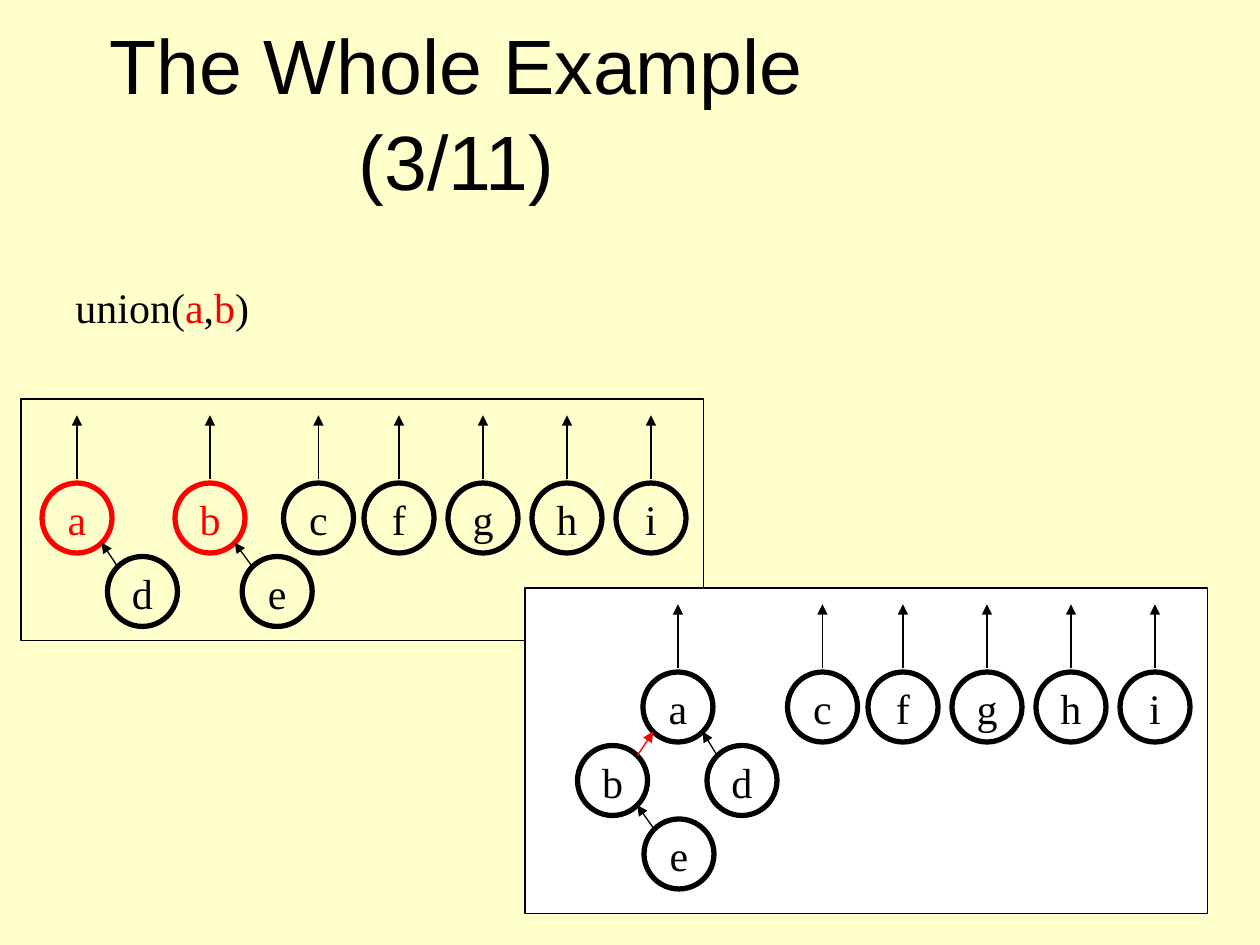
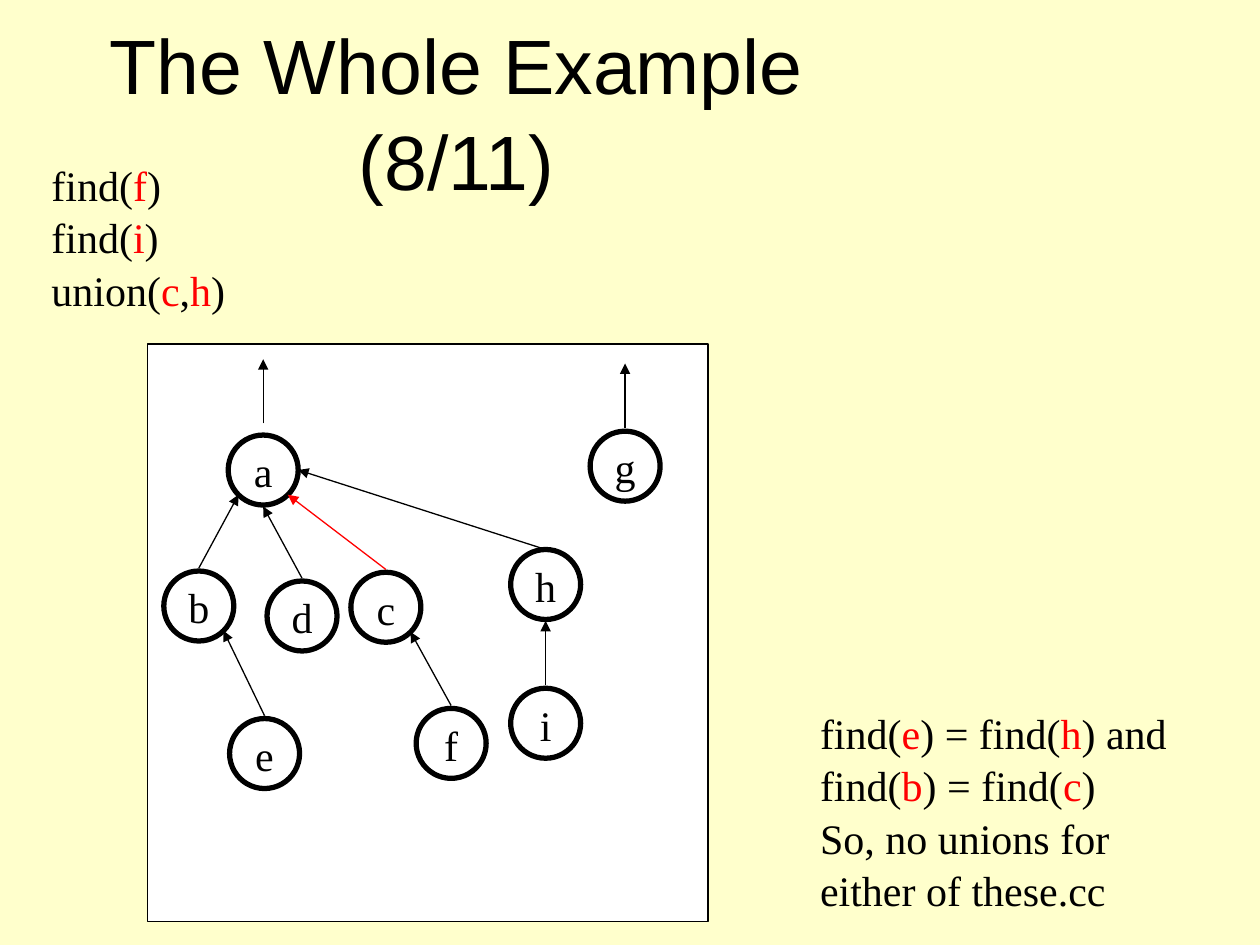
from dataclasses import dataclass

from lxml.etree import SubElement
from pptx import Presentation
from pptx.dml.color import RGBColor
from pptx.enum.shapes import MSO_CONNECTOR, MSO_SHAPE
from pptx.enum.text import MSO_ANCHOR, MSO_AUTO_SIZE, PP_ALIGN
from pptx.oxml.ns import qn
from pptx.util import Pt


@dataclass(frozen=True)
class Theme:
    background: RGBColor = RGBColor(0xFF, 0xFF, 0xCC)
    panel: RGBColor = RGBColor(0xFF, 0xFF, 0xFF)
    ink: RGBColor = RGBColor(0, 0, 0)
    accent: RGBColor = RGBColor(0xFF, 0, 0)
    title_font: str = "Arial"
    body_font: str = "Times New Roman"
    title_size: int = 44
    body_size: int = 24
    thin: float = 0.75
    thick: float = 3
    line_spacing: float = 1.04


THEME = Theme()
TITLE_BOX = (6, 18, 510, 90)
RADIUS = 20
ROOT_GAP, ROOT_LENGTH = 22, 36.7

# Where an arrow touches a node, measured from the node's centre
SITES = {
    "top": (0, -21.6), "rim": (0, -20), "bottom": (0, 20.8), "right": (20, 0),
    "NW": (-14.1, -14.1), "NE": (14.1, -14.1), "SW": (-14.1, 14.1), "SE": (14.1, 14.1),
}

# Content: text between bars is red; node centres are relative to their panel.
# An edge is (child, child site, parent, parent site); roots give the arrow's gap.
ROW = {"c": (170, 68), "f": (216, 68), "g": (264, 68), "h": (312, 68), "i": (360, 68)}

SLIDES = [
    {
        "title": "The Whole Example (3/11)",
        "texts": [((36, 156, 114, 36), False, ["union(|a|,|b|)"])],
        "forests": [
            {
                "box": (12, 228, 390, 138), "filled": False,
                "nodes": {"a": (32, 68), "b": (108, 68), **ROW,
                          "d": (69.4, 110), "e": (146.4, 110)},
                "red_nodes": "ab",
                "roots": dict.fromkeys("abcfghi", ROOT_GAP),
                "edges": [("d", "NW", "a", "SE"), ("e", "NW", "b", "SE")],
                "red_edge": None,
            },
            {
                "box": (300, 336, 390, 186), "filled": True,
                "nodes": {"a": (87.4, 68), **ROW, "b": (50, 110),
                          "d": (124, 110), "e": (88, 152)},
                "red_nodes": "",
                "roots": dict.fromkeys("acfghi", ROOT_GAP),
                "edges": [("b", "NE", "a", "SW"), ("d", "NW", "a", "SE"),
                          ("e", "NW", "b", "SE")],
                "red_edge": "ba",
            },
        ],
    },
    {
        "title": "The Whole Example (8/11)",
        "texts": [
            ((22.3, 86.4, 114, 93.6), False, ["find(|f|)", "find(|i|)", "union(|c|,|h|)"]),
            ((461.5, 399.6, 239, 122.4), True,
             ["find(|e|) = find(|h|) and find(|b|) = find(|c|)",
              "So, no unions for either of these.cc"]),
        ],
        "forests": [
            {
                "box": (84.2, 196.6, 320.4, 329.8), "filled": True,
                "nodes": {"a": (66.2, 72), "g": (273, 69.8), "b": (29.4, 149.7),
                          "d": (88.4, 155.4), "c": (136.3, 150.4), "h": (227.6, 137.4),
                          "e": (67, 234), "f": (173.6, 228.2), "i": (227.6, 216.7)},
                "red_nodes": "",
                "roots": {"a": 26.6, "g": ROOT_GAP},
                "edges": [("b", "top", "a", "SW"), ("d", "top", "a", "bottom"),
                          ("c", "top", "a", "SE"), ("h", "rim", "a", "right"),
                          ("e", "top", "b", "SE"), ("f", "top", "c", "SE"),
                          ("i", "top", "h", "bottom")],
                "red_edge": "ca",
            },
        ],
    },
]


# Drawing helpers
def points(*values):
    return [Pt(value) for value in values]


def style_paragraph(para, font_name, size, color=THEME.ink, alignment=PP_ALIGN.LEFT):
    para.alignment = alignment
    para.line_spacing = THEME.line_spacing
    para.font.name = font_name
    para.font.size = Pt(size)
    para.font.color.rgb = color


def add_shape(page, kind, box, color, width, fill=None):
    shape = page.shapes.add_shape(kind, *points(*box))
    shape.shadow.inherit = False
    shape.line.color.rgb = color
    shape.line.width = Pt(width)
    if fill is None:
        shape.fill.background()
    else:
        shape.fill.solid()
        shape.fill.fore_color.rgb = fill
    return shape


def add_arrow(page, start, end, color):
    arrow = page.shapes.add_connector(MSO_CONNECTOR.STRAIGHT, *points(*start, *end))
    arrow.line.color.rgb = color
    arrow.line.width = Pt(THEME.thin)
    SubElement(arrow.line._get_or_add_ln(), qn("a:tailEnd"), type="triangle")
    SubElement(arrow._element.spPr, qn("a:effectLst"))


def add_node(page, name, center, color):
    x, y = center
    box = (x - RADIUS, y - RADIUS, 2 * RADIUS, 2 * RADIUS)
    node = add_shape(page, MSO_SHAPE.OVAL, box, color, THEME.thick)
    frame = node.text_frame
    frame.word_wrap = False
    frame.vertical_anchor = MSO_ANCHOR.MIDDLE
    frame.text = name
    style_paragraph(frame.paragraphs[0], THEME.body_font, THEME.body_size,
                    color, PP_ALIGN.CENTER)


def add_text(page, box, wrap, lines):
    frame = page.shapes.add_textbox(*points(*box)).text_frame
    frame.word_wrap = wrap
    for index, line in enumerate(lines):
        para = frame.add_paragraph() if index else frame.paragraphs[0]
        style_paragraph(para, THEME.body_font, THEME.body_size)
        for part, words in enumerate(line.split("|")):
            span = para.add_run()
            span.text = words
            if part % 2:
                span.font.color.rgb = THEME.accent


def add_title(page, words):
    title = page.shapes.title
    title.left, title.top, title.width, title.height = points(*TITLE_BOX)
    frame = title.text_frame
    frame.text = words
    frame.auto_size = MSO_AUTO_SIZE.NONE
    frame.vertical_anchor = MSO_ANCHOR.MIDDLE
    style_paragraph(frame.paragraphs[0], THEME.title_font, THEME.title_size,
                    alignment=PP_ALIGN.CENTER)


def add_forest(page, forest):
    left, top, _, _ = forest["box"]
    add_shape(page, MSO_SHAPE.RECTANGLE, forest["box"], THEME.ink, THEME.thin,
              THEME.panel if forest["filled"] else None)
    centers = {name: (left + x, top + y) for name, (x, y) in forest["nodes"].items()}

    def touch(name, site):
        return [base + offset for base, offset in zip(centers[name], SITES[site])]

    for name, center in centers.items():
        color = THEME.accent if name in forest["red_nodes"] else THEME.ink
        add_node(page, name, center, color)
    for name, gap in forest["roots"].items():
        x, y = centers[name]
        add_arrow(page, (x, y - gap), (x, y - gap - ROOT_LENGTH), THEME.ink)
    for child, child_site, parent, parent_site in forest["edges"]:
        color = THEME.accent if child + parent == forest["red_edge"] else THEME.ink
        add_arrow(page, touch(child, child_site), touch(parent, parent_site), color)


def main():
    deck = Presentation()
    deck.slide_width, deck.slide_height = points(720, 540)
    backdrop = deck.slide_master.background.fill
    backdrop.solid()
    backdrop.fore_color.rgb = THEME.background

    title_only = deck.slide_layouts[5]
    for content in SLIDES:
        page = deck.slides.add_slide(title_only)
        add_title(page, content["title"])
        for forest in content["forests"]:
            add_forest(page, forest)
        for box, wrap, lines in content["texts"]:
            add_text(page, box, wrap, lines)
    deck.save("out.pptx")


if __name__ == "__main__":
    main()
